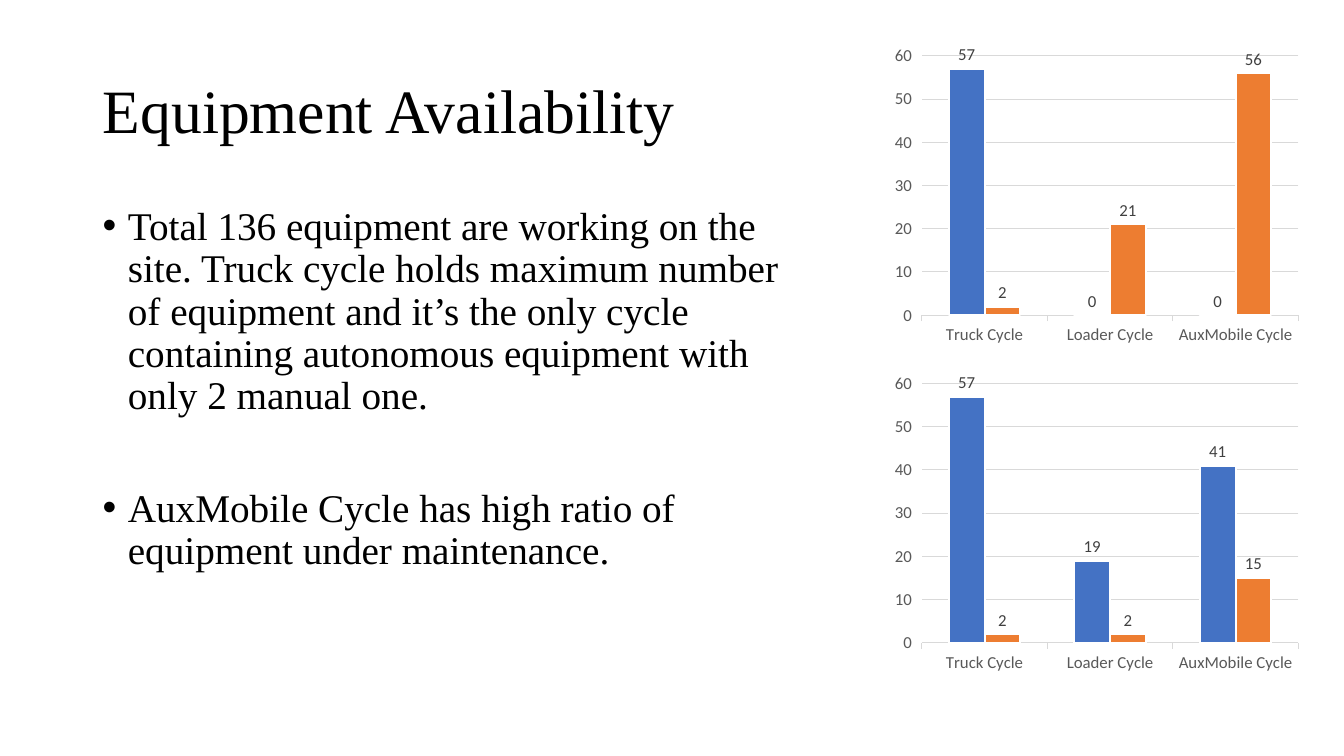
from lxml import etree
from pptx import Presentation
from pptx.chart.data import CategoryChartData
from pptx.dml.color import RGBColor
from pptx.enum.chart import XL_CHART_TYPE, XL_LABEL_POSITION as LabelPos, XL_TICK_MARK as Tick
from pptx.enum.text import MSO_ANCHOR as Anchor, PP_ALIGN as Align
from pptx.oxml import parse_xml
from pptx.oxml.ns import nsdecls, qn
from pptx.util import Inches, Pt


def paint(target, color):
    """Give a fill a solid hex colour."""
    target.solid()
    target.fore_color.rgb = RGBColor.from_string(color)


def style(font, name, size, color):
    """Set the typeface, point size and hex colour of a font."""
    font.name = name
    font.size = Pt(size)
    font.color.rgb = RGBColor.from_string(color)


SERIF, SANS = "Times New Roman", "Calibri"
GRID, AXIS_TEXT, LABEL_TEXT = "D9D9D9", "595959", "404040"
SERIES_COLORS = ["4472C4", "ED7D31"]
CYCLES = ["Truck Cycle", "Loader Cycle", "AuxMobile Cycle"]
AVAILABILITY = [
    [(57, 0, 0), (2, 21, 56)],
    [(57, 19, 41), (2, 2, 15)],
]
FINDINGS = [
    "Total 136 equipment are working on the site. Truck cycle holds maximum "
    "number of equipment and it’s the only cycle containing autonomous "
    "equipment with only 2 manual one.",
    "AuxMobile Cycle has high ratio of equipment under maintenance.",
]

prs = Presentation()
prs.slide_width, prs.slide_height = Inches(13.33), Inches(7.5)
slide = prs.slides.add_slide(prs.slide_layouts[5])
paint(slide.background.fill, "FFFFFF")

# Title
title = slide.shapes.title
title.left, title.top = Inches(0.92), Inches(0.4)
title.width, title.height = Inches(11.5), Inches(1.45)
title.text_frame.vertical_anchor = Anchor.MIDDLE
heading = title.text_frame.paragraphs[0]
heading.alignment = Align.LEFT
heading.line_spacing = 0.9
heading_run = heading.add_run()
heading_run.text = "Equipment Availability"
style(heading_run.font, SERIF, 44, "000000")

# Findings
findings = slide.shapes.add_textbox(
    Inches(0.92), Inches(2), Inches(7.15), Inches(4.76)).text_frame
findings.word_wrap = True
for i, finding in enumerate(FINDINGS):
    bullet = findings.add_paragraph() if i else findings.paragraphs[0]
    bullet.line_spacing = 0.9
    bullet.space_before = Pt(50 if i else 10)
    props = bullet._p.get_or_add_pPr()
    props.set("marL", str(Inches(0.25)))
    props.set("indent", str(-Inches(0.25)))
    etree.SubElement(props, qn("a:buFont")).set("typeface", "Arial")
    etree.SubElement(props, qn("a:buChar")).set("char", "•")
    finding_run = bullet.add_run()
    finding_run.text = finding
    style(finding_run.font, SERIF, 28, "000000")

# Charts, stacked on the right
for row, counts in enumerate(AVAILABILITY):
    data = CategoryChartData()
    data.categories = CYCLES
    for number, values in enumerate(counts, 1):
        data.add_series(f"Series {number}", values)
    chart = slide.shapes.add_chart(
        XL_CHART_TYPE.COLUMN_CLUSTERED, Inches(8.79), Inches(0.4 + 3.25 * row),
        Inches(4.15), Inches(3.1), data).chart
    chart.has_title = chart.has_legend = False
    style(chart.font, SANS, 10, "000000")

    cycle_axis, count_axis = chart.category_axis, chart.value_axis
    for axis in (cycle_axis, count_axis):
        style(axis.tick_labels.font, SANS, 12, AXIS_TEXT)
        axis.major_tick_mark = Tick.OUTSIDE
    paint(cycle_axis.format.line.fill, GRID)
    cycle_axis.format.line.width = Pt(0.75)
    count_axis.format.line.fill.background()
    count_axis.minimum_scale, count_axis.maximum_scale = 0, 60
    count_axis.major_unit = 10
    gridlines = count_axis.major_gridlines.format.line
    paint(gridlines.fill, GRID)
    gridlines.width = Pt(0.75)

    columns = chart.plots[0]
    columns.gap_width, columns.overlap = 150, 0
    columns.vary_by_categories = False
    for series, color in zip(columns.series, SERIES_COLORS):
        paint(series.format.fill, color)
        paint(series.format.line.fill, "FFFFFF")
        series.format.line.width = Pt(1.5)
        labels = series.data_labels
        labels.show_value = True
        labels.position = LabelPos.OUTSIDE_END
        style(labels.font, SANS, 12, LABEL_TEXT)

    # Fixed inner plot area, as fractions of the chart
    plot_area = chart._chartSpace.chart.plotArea
    for layout in plot_area.findall(qn("c:layout")):
        plot_area.remove(layout)
    places = "".join(f'<c:{tag} val="{val}"/>' for tag, val in [
        ("layoutTarget", "inner"), ("xMode", "edge"), ("yMode", "edge"),
        ("x", 0.085), ("y", 0.05), ("w", 0.9), ("h", 0.83)])
    plot_area.insert(0, parse_xml(
        f'<c:layout {nsdecls("c")}><c:manualLayout>{places}</c:manualLayout></c:layout>'))

prs.save("out.pptx")
